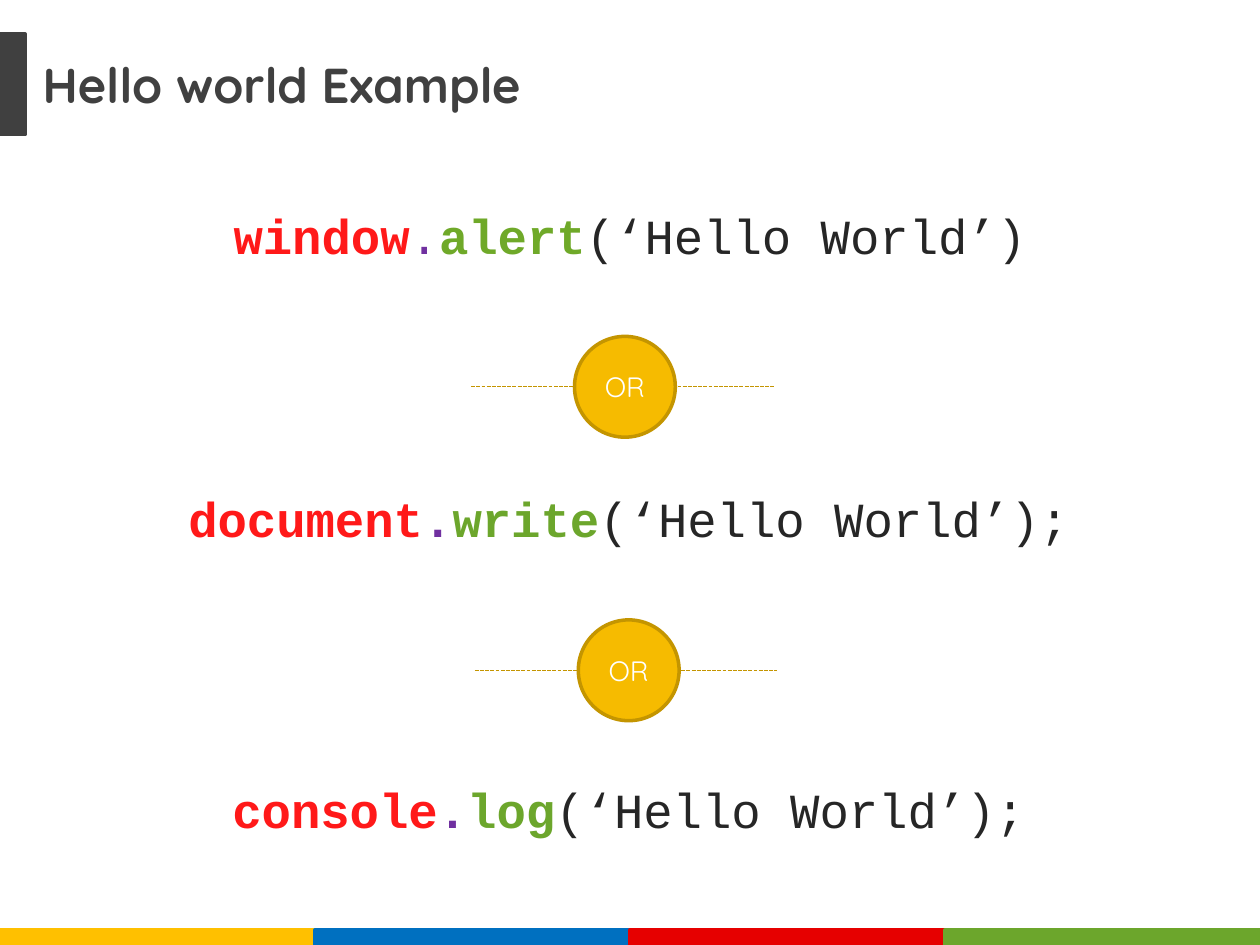
from dataclasses import dataclass

from lxml import etree
from pptx import Presentation, util as u
from pptx.dml.color import RGBColor
from pptx.enum import dml, shapes, text
from pptx.oxml.ns import qn


@dataclass(frozen=True)
class Theme:
    heading_font: str = "Quicksand"
    code_font: str = "Courier New"
    large: int = 28
    small: int = 16
    outline: float = 2
    hairline: float = 0.75
    dark: str = "404040"
    white: str = "FFFFFF"
    badge: str = "F6BB00"
    badge_edge: str = "C49500"
    owner: str = "FF1919"
    dot: str = "7030A0"
    method: str = "6CA62C"
    argument: str = "262626"
    stripes: tuple = ("FFC000", "0070C0", "E60000", "6CA62C")


THEME = Theme()
WIDTH, HEIGHT = 10, 7.5
TEXT_HEIGHT = 0.57
BADGE = 0.8
RULE = 2.4


def color(code):
    return RGBColor.from_string(code)


def add_block(page, kind, left, top, width, height, fill, edge=None):
    block = page.shapes.add_shape(kind, *map(u.Inches, (left, top, width, height)))
    block.shadow.inherit = False
    block.fill.solid()
    block.fill.fore_color.rgb = color(fill)
    block.line.color.rgb = color(edge or fill)
    block.line.width = u.Pt(THEME.outline)
    return block


def add_text_box(page, left, top, width):
    """Add a wrapping one-line box and return its paragraph."""
    box = page.shapes.add_textbox(*map(u.Inches, (left, top, width, TEXT_HEIGHT)))
    box.text_frame.word_wrap = True
    box.text_frame.auto_size = text.MSO_AUTO_SIZE.SHAPE_TO_FIT_TEXT
    return box.text_frame.paragraphs[0]


def add_title(page, title):
    add_block(page, shapes.MSO_SHAPE.RECTANGLE, 0, 0.27, 0.2, 0.8, THEME.dark)
    para = add_text_box(page, 0.24, 0.38, 7.51)
    para.text = title
    para.font.name = THEME.heading_font
    para.font.size = u.Pt(THEME.large)
    para.font.bold = True
    para.font.color.rgb = color(THEME.dark)


def add_code(page, center, top, width, owner, method, argument, method_color, bold_dot):
    para = add_text_box(page, center - width / 2, top, width)
    para.alignment = text.PP_ALIGN.CENTER
    para.font.name = THEME.code_font
    para.font.size = u.Pt(THEME.large)
    for words, shade, bold in (
        (owner, THEME.owner, True),
        (".", THEME.dot, bold_dot),
        (method, method_color, True),
        (argument, THEME.argument, False),
    ):
        span = para.add_run()
        span.text = words
        span.font.bold = bold
        span.font.color.rgb = color(shade)


def add_divider(page, center, middle):
    """Draw a dashed rule with an OR badge over it."""
    start = center - 0.02 - RULE / 2
    ends = map(u.Inches, (start, middle, start + RULE, middle))
    rule = page.shapes.add_connector(shapes.MSO_CONNECTOR.STRAIGHT, *ends)
    rule.line.color.rgb = color(THEME.badge_edge)
    rule.line.width = u.Pt(THEME.hairline)
    rule.line.dash_style = dml.MSO_LINE.SQUARE_DOT
    etree.SubElement(rule._element.spPr, qn("a:effectLst"))

    badge = add_block(page, shapes.MSO_SHAPE.OVAL, center - BADGE / 2, middle - BADGE / 2,
                      BADGE, BADGE, THEME.badge, THEME.badge_edge)
    frame = badge.text_frame
    frame.margin_left = frame.margin_right = 0
    frame.vertical_anchor = text.MSO_ANCHOR.MIDDLE
    para = frame.paragraphs[0]
    para.text = "OR"
    para.alignment = text.PP_ALIGN.CENTER
    para.font.name = THEME.heading_font
    para.font.size = u.Pt(THEME.small)
    para.font.color.rgb = color(THEME.white)


def add_footer_stripes(page):
    width, height = WIDTH / len(THEME.stripes), 0.12
    for column, shade in enumerate(THEME.stripes):
        add_block(page, shapes.MSO_SHAPE.RECTANGLE, column * width, HEIGHT - height,
                  width, height, shade)


def main():
    deck = Presentation()
    deck.slide_width, deck.slide_height = u.Inches(WIDTH), u.Inches(HEIGHT)
    page = deck.slides.add_slide(deck.slide_layouts[6])

    add_footer_stripes(page)
    add_title(page, "Hello world Example")
    add_code(page, 5, 1.58, 6.87, "window", "alert", "(‘Hello World’)", "6FA929", False)
    add_divider(page, 4.96, 3.07)
    add_code(page, 4.99, 3.83, 8, "document", "write", "(‘Hello World’);", THEME.method, True)
    add_divider(page, 4.99, 5.32)
    add_code(page, 4.99, 6.14, 7.08, "console", "log", "(‘Hello World’);", THEME.method, True)

    deck.save("out.pptx")


if __name__ == "__main__":
    main()
